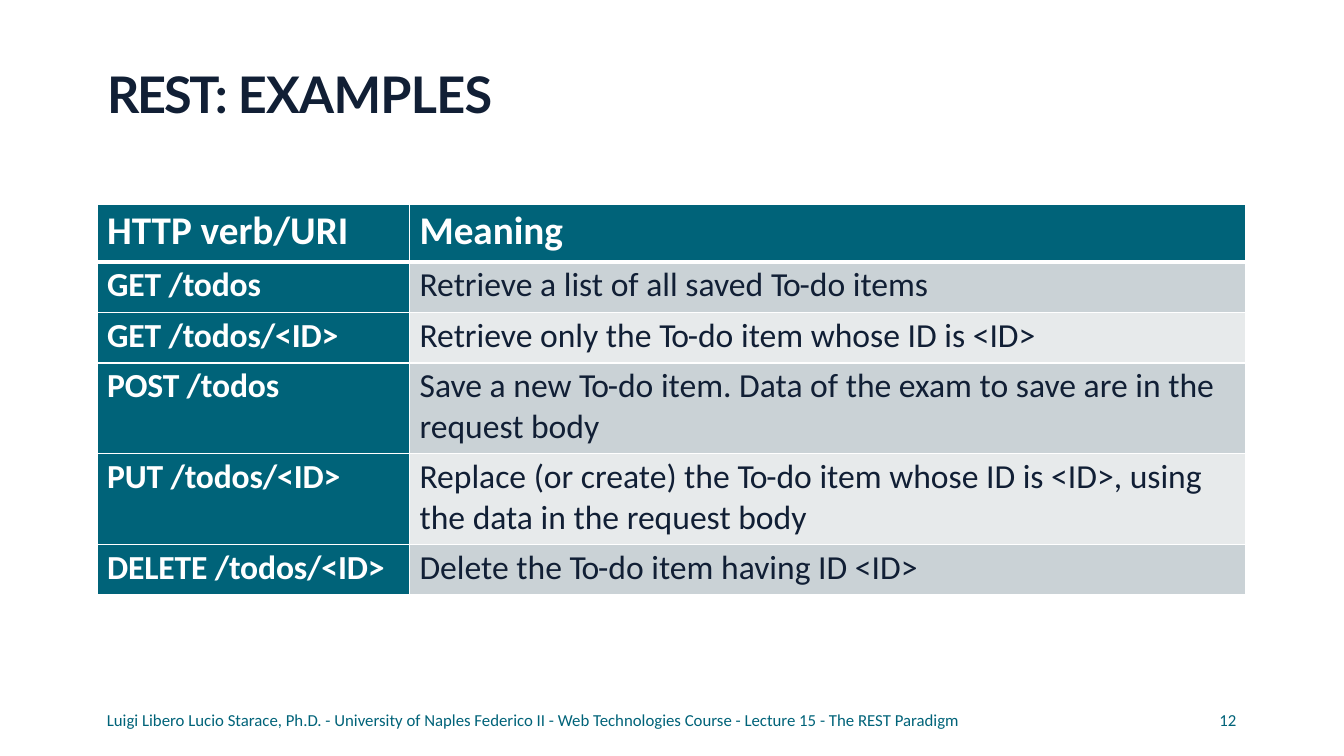
"""Build the slide of REST request examples."""
from lxml.etree import SubElement
from pptx import Presentation
from pptx.dml.color import RGBColor
from pptx.enum.text import MSO_ANCHOR, MSO_AUTO_SIZE, PP_ALIGN
from pptx.oxml.ns import qn
from pptx.util import Pt

TEAL, NAVY, WHITE = "006379", "111F35", "FFFFFF"
BANDS = ("CAD2D6", "E7EAEB")

TITLE = [("REST: ", -1.6), ("EXAMPLES", -0.5)]
FOOTER = ("Luigi Libero Lucio Starace, Ph.D. - University of Naples Federico II - "
          "Web Technologies Course - Lecture 15 - The REST Paradigm")
PAGE = "12"
HEADER = ("HTTP verb/URI", "Meaning")
REQUESTS = [
    ("GET /todos", "Retrieve a list of all saved To-do items"),
    ("GET /todos/<ID>", "Retrieve only the To-do item whose ID is <ID>"),
    ("POST /todos", "Save a new To-do item. Data of the exam to save are in the request body"),
    ("PUT /todos/<ID>", "Replace (or create) the To-do item whose ID is <ID>, "
                        "using the data in the request body"),
    ("DELETE /todos/<ID>", "Delete the To-do item having ID <ID>"),
]
COLUMN_WIDTHS = (223.2, 597)
ROW_HEIGHTS = (41, 36, 36, 64.8, 64.8, 36)


def colour(hex_code):
    return RGBColor.from_string(hex_code)


def write(frame, runs, size, ink, bold=False, font="Calibri", before=0, line=None):
    """Write (text, letter spacing) pairs as one left-aligned paragraph."""
    paragraph = frame.paragraphs[0]
    paragraph.alignment = PP_ALIGN.LEFT
    paragraph.space_before = Pt(before)
    if line:
        paragraph.line_spacing = Pt(line)
    for text, spacing in runs:
        run = paragraph.add_run()
        run.text = text
        run.font.size, run.font.bold, run.font.name = Pt(size), bold, font
        run.font.color.rgb = colour(ink)
        run.font._element.set("spc", str(round(spacing * 100)))


def clear_margins(frame, top=0):
    frame.margin_left = frame.margin_right = frame.margin_bottom = 0
    frame.margin_top = Pt(top)
    frame.word_wrap = True
    frame.auto_size = MSO_AUTO_SIZE.NONE
    frame.vertical_anchor = MSO_ANCHOR.TOP


def tighten(meaning):
    """Split a meaning so that its "To-" is set closer."""
    start, hyphenated, rest = meaning.partition("To-")
    return [(start, 0), (hyphenated, -0.9), (rest, 0)]


def fill_cell(cell, fill, top_border, bottom_border):
    cell.margin_left, cell.margin_right = Pt(7.2), 0
    cell.margin_top, cell.margin_bottom = Pt(2), 0
    properties = cell._tc.get_or_add_tcPr()
    for side, width in (("L", 1), ("R", 1), ("T", top_border), ("B", bottom_border)):
        border = SubElement(properties, qn(f"a:ln{side}"), w=str(Pt(width)))
        SubElement(SubElement(border, qn("a:solidFill")), qn("a:srgbClr"), val=WHITE)
    cell.fill.solid()
    cell.fill.fore_color.rgb = colour(fill)


def add_title(slide):
    title = slide.shapes.title
    title.left, title.top, title.width, title.height = Pt(76.5), Pt(44), Pt(803), Pt(45.4)
    clear_margins(title.text_frame, top=1)
    write(title.text_frame, TITLE, 36, NAVY, bold=True, font="Lato", before=1)


def add_requests(slide):
    table = slide.shapes.add_table(
        len(ROW_HEIGHTS), len(COLUMN_WIDTHS), Pt(69.3), Pt(146.3),
        Pt(sum(COLUMN_WIDTHS)), Pt(sum(ROW_HEIGHTS))).table
    for column, width in zip(table.columns, COLUMN_WIDTHS):
        column.width = Pt(width)
    for row, height in zip(table.rows, ROW_HEIGHTS):
        row.height = Pt(height)
    for column, heading in enumerate(HEADER):
        cell = table.cell(0, column)
        fill_cell(cell, TEAL, 1, 3)
        write(cell.text_frame, [(heading, 0)], 28, WHITE, bold=True, before=1.8)
    for row, (request, meaning) in enumerate(REQUESTS, 1):
        top_border = 3 if row == 1 else 1
        request_cell, meaning_cell = table.cell(row, 0), table.cell(row, 1)
        fill_cell(request_cell, TEAL, top_border, 1)
        write(request_cell.text_frame, [(request, -0.1)], 24, WHITE, bold=True, before=2.1)
        fill_cell(meaning_cell, BANDS[(row - 1) % 2], top_border, 1)
        write(meaning_cell.text_frame, tighten(meaning), 24, NAVY, before=2.1)


def add_footer(slide):
    for text, left, width in ((FOOTER, 76.3, 616), (PAGE, 871, 20)):
        frame = slide.shapes.add_textbox(Pt(left), Pt(509), Pt(width), Pt(13.7)).text_frame
        clear_margins(frame)
        write(frame, [(text, 0)], 12, TEAL, line=12.4)


def main():
    deck = Presentation()
    deck.slide_width, deck.slide_height = Pt(960), Pt(540)
    slide = deck.slides.add_slide(deck.slide_layouts[5])
    add_title(slide)
    add_requests(slide)
    add_footer(slide)
    deck.save("out.pptx")


if __name__ == "__main__":
    main()
